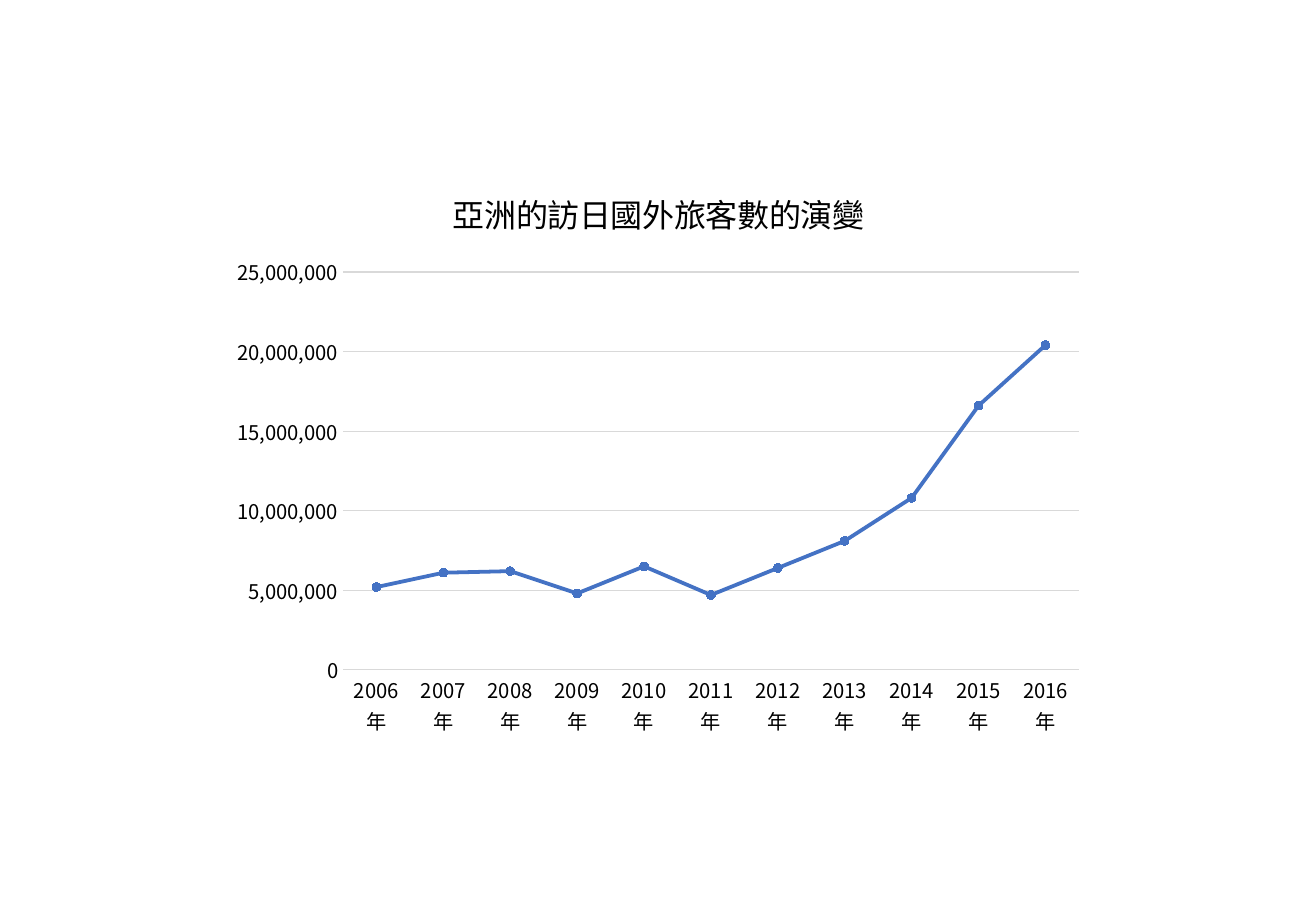
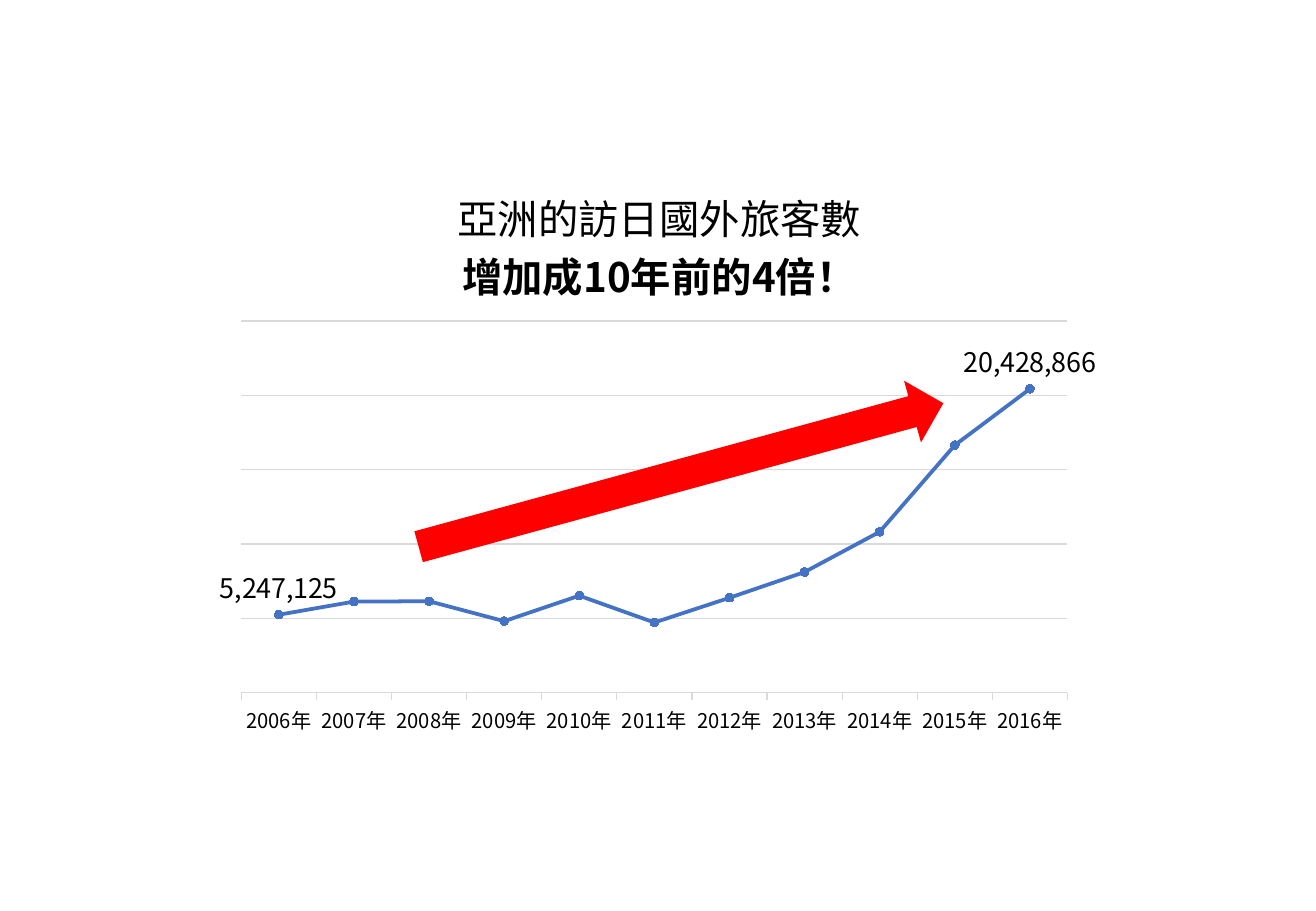
import pptx
import pptx.chart.data
import pptx.dml.color
import pptx.enum.chart
import pptx.enum.shapes
import pptx.oxml
import pptx.oxml.ns
import pptx.util

PX = 914400 / 121.5
COLORS = {"text": "000000", "line": "4472C4", "grid": "D9D9D9", "arrow": "FF0000"}
FONT = "Noto Sans CJK SC"
CHART_BOX = (220, 163, 877, 584)
YEARS = [f"{year}年" for year in range(2006, 2017)]
VISITORS = [5247125, 6130283, 6153827, 4814001, 6528432, 4723661,
            6387977, 8115789, 10819211, 16645843, 20428866]
tick_marks = pptx.enum.chart.XL_TICK_MARK

# Each title line is (text, bold); plot is left, top, width, height in px
CHARTS = [
    {"title": [("亞洲的訪日國外旅客數的演變", False)], "title_size": 19,
     "values": [round(value, -5) for value in VISITORS], "plot": (343, 272, 736, 398),
     "show_scale": True, "tick": tick_marks.NONE, "labelled": []},
    {"title": [("亞洲的訪日國外旅客數", False), ("增加成10年前的4倍！", True)], "title_size": 24,
     "values": VISITORS, "plot": (239, 321, 829, 372),
     "show_scale": False, "tick": tick_marks.OUTSIDE, "labelled": [0, 10]},
]


def color(name):
    return pptx.dml.color.RGBColor.from_string(COLORS[name])


def style_font(font, size, bold=False):
    font.size = pptx.util.Pt(size)
    font.bold = bold
    font.color.rgb = color("text")
    font.name = FONT
    # East Asian characters take their own typeface element
    latin = font._element.find(pptx.oxml.ns.qn("a:latin"))
    latin.addnext(pptx.oxml.parse_xml(
        f'<a:ea {pptx.oxml.ns.nsdecls("a")} typeface="{FONT}"/>'))


presentation = pptx.Presentation()
presentation.slide_width = round(1316 * PX)
presentation.slide_height = round(911 * PX)

for settings in CHARTS:
    slide = presentation.slides.add_slide(presentation.slide_layouts[6])

    # Chart
    data = pptx.chart.data.CategoryChartData(number_format="#,##0")
    data.categories = YEARS
    data.add_series("Series 1", settings["values"])
    chart = slide.shapes.add_chart(
        pptx.enum.chart.XL_CHART_TYPE.LINE_MARKERS,
        *[round(length * PX) for length in CHART_BOX], data).chart
    chart.has_legend = False
    chart.font.name = "Calibri"
    chart.font.size = pptx.util.Pt(10)
    chart.font.color.rgb = color("text")

    # Title
    title_frame = chart.chart_title.text_frame
    title_frame.text = "\n".join(text for text, bold in settings["title"])
    for paragraph, (text, bold) in zip(title_frame.paragraphs, settings["title"]):
        style_font(paragraph.runs[0].font, settings["title_size"], bold)
    chart.chart_title.include_in_layout = False

    # Axes
    category_axis, value_axis = chart.category_axis, chart.value_axis
    category_axis.major_tick_mark = settings["tick"]
    category_axis.format.line.color.rgb = color("grid")
    category_axis.format.line.width = pptx.util.Pt(0.75)
    style_font(category_axis.tick_labels.font, 12)
    value_axis.visible = settings["show_scale"]
    value_axis.minimum_scale = 0
    value_axis.maximum_scale = 25000000
    value_axis.major_unit = 5000000
    value_axis.major_tick_mark = tick_marks.NONE
    value_axis.format.line.fill.background()
    value_axis.tick_labels.number_format = "#,##0"
    value_axis.tick_labels.number_format_is_linked = False
    style_font(value_axis.tick_labels.font, 12)
    value_axis.major_gridlines.format.line.color.rgb = color("grid")
    value_axis.major_gridlines.format.line.width = pptx.util.Pt(0.75)

    # Line and markers
    plot = chart.plots[0]
    plot.vary_by_categories = False
    series = plot.series[0]
    series.smooth = False
    series.format.line.color.rgb = color("line")
    series.format.line.width = pptx.util.Pt(2.25)
    series.marker.style = pptx.enum.chart.XL_MARKER_STYLE.CIRCLE
    series.marker.size = 5
    series.marker.format.fill.solid()
    series.marker.format.fill.fore_color.rgb = color("line")
    series.marker.format.line.color.rgb = color("line")

    # Labels of single points
    for index in settings["labelled"]:
        label = series.points[index].data_label
        style_font(label.font, 16)
        label.position = pptx.enum.chart.XL_LABEL_POSITION.ABOVE
    if settings["labelled"]:
        series.data_labels.show_value = False

    # Plot area position as fractions of the chart
    left, top, width, height = settings["plot"]
    chart_left, chart_top, chart_width, chart_height = CHART_BOX
    fractions = {"x": (left - chart_left) / chart_width, "y": (top - chart_top) / chart_height,
                 "w": width / chart_width, "h": height / chart_height}
    parts = "".join(f'<c:{side}Mode val="edge"/>' for side in "xy")
    parts += "".join(f'<c:{name} val="{value:.4f}"/>' for name, value in fractions.items())
    plot_area = chart._chartSpace.chart.plotArea
    for layout in plot_area.findall(pptx.oxml.ns.qn("c:layout")):
        plot_area.remove(layout)
    plot_area.insert(0, pptx.oxml.parse_xml(
        f'<c:layout {pptx.oxml.ns.nsdecls("c")}><c:manualLayout>'
        f'<c:layoutTarget val="inner"/>{parts}</c:manualLayout></c:layout>'))

# Growth arrow on the last slide
arrow = slide.shapes.add_shape(
    pptx.enum.shapes.MSO_SHAPE.UP_ARROW,
    *[round(length * PX) for length in (649, 203, 64, 544)])
arrow.rotation = 74.7
arrow.shadow.inherit = False
arrow.fill.solid()
arrow.fill.fore_color.rgb = color("arrow")
arrow.line.fill.background()

presentation.save("out.pptx")
